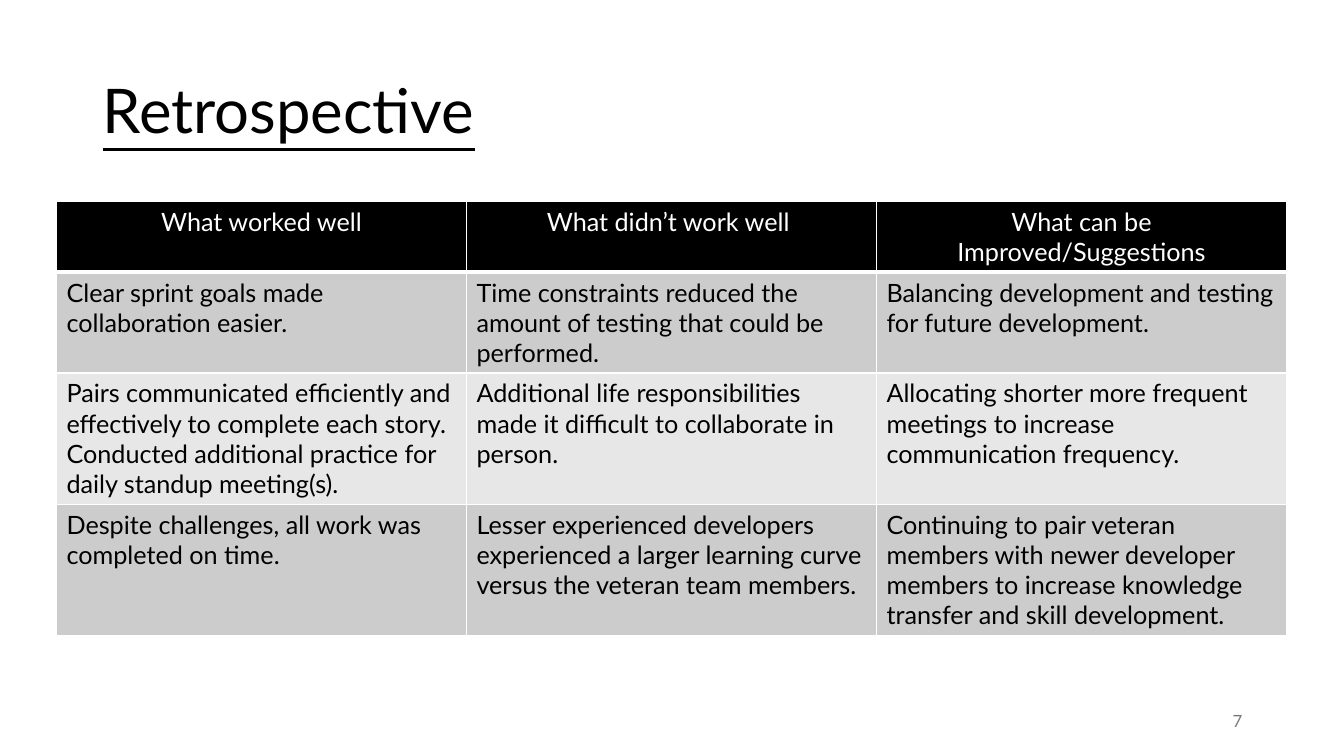
from dataclasses import dataclass

from lxml.etree import SubElement
from pptx import Presentation
from pptx.dml.color import RGBColor
from pptx.enum.text import MSO_ANCHOR, PP_ALIGN
from pptx.oxml.ns import qn
from pptx.util import Inches, Pt


@dataclass(frozen=True)
class Theme:
    font: str = "Lato"
    black: str = "000000"
    white: str = "FFFFFF"
    number_gray: str = "797979"
    bands: tuple = ("CCCCCC", "E7E7E7")
    title_size: int = 44
    table_size: int = 18
    number_size: int = 12
    border: int = 1
    header_border: int = 3


THEME = Theme()

HEADINGS = (
    "What worked well",
    "What didn’t work well ",
    "What can be Improved/Suggestions",
)
FINDINGS = (
    (
        "Clear sprint goals made collaboration easier.",
        "Time constraints reduced the amount of testing that could be performed.",
        "Balancing development and testing for future development.",
    ),
    (
        "Pairs communicated efficiently and effectively to complete each story. "
        "Conducted additional practice for daily standup meeting(s).",
        "Additional life responsibilities made it difficult to collaborate in person.",
        "Allocating shorter more frequent meetings to increase communication frequency.",
    ),
    (
        "Despite challenges, all work was completed on time.",
        "Lesser experienced developers experienced a larger learning curve "
        "versus the veteran team members.",
        "Continuing to pair veteran members with newer developer members "
        "to increase knowledge transfer and skill development.",
    ),
)
ROW_HEIGHTS = (0.69, 1, 1.3, 1.3)


def set_attributes(target, values):
    for name, value in values.items():
        setattr(target, name, value)


def write_text(text_frame, text, size, color, paragraph_format=None, underline=False):
    paragraph = text_frame.paragraphs[0]
    set_attributes(paragraph, paragraph_format or {})
    run = paragraph.add_run()
    run.text = text
    set_attributes(
        run.font, {"name": THEME.font, "size": Pt(size), "underline": underline}
    )
    run.font.color.rgb = RGBColor.from_string(color)


def add_text(slide, box, *text_arguments, **text_options):
    shape = slide.shapes.add_textbox(*map(Inches, box))
    set_attributes(
        shape.text_frame, {"word_wrap": True, "vertical_anchor": MSO_ANCHOR.MIDDLE}
    )
    write_text(shape.text_frame, *text_arguments, **text_options)


def add_borders(cell, widths):
    properties = cell._tc.get_or_add_tcPr()
    for position, (side, width) in enumerate(widths.items()):
        line = SubElement(properties, qn(f"a:{side}"), w=str(Pt(width)))
        properties.insert(position, line)
        fill = SubElement(line, qn("a:solidFill"))
        SubElement(fill, qn("a:srgbClr"), val=THEME.white)


def format_cell(cell, text, row):
    header = row == 0
    fill = THEME.black if header else THEME.bands[(row - 1) % 2]
    cell.fill.solid()
    cell.fill.fore_color.rgb = RGBColor.from_string(fill)
    write_text(
        cell.text_frame,
        text,
        THEME.table_size,
        THEME.white if header else THEME.black,
        {"alignment": PP_ALIGN.CENTER if header else PP_ALIGN.LEFT},
    )
    widths = dict.fromkeys(("lnL", "lnR", "lnT", "lnB"), THEME.border)
    if header:
        widths["lnB"] = THEME.header_border
    if row == 1:
        widths["lnT"] = THEME.header_border
    add_borders(cell, widths)


def add_retrospective_table(slide, box):
    contents = (HEADINGS, *FINDINGS)
    frame = slide.shapes.add_table(
        len(contents), len(HEADINGS), *map(Inches, box)
    )
    table = frame.table
    for row, (height, texts) in enumerate(zip(ROW_HEIGHTS, contents)):
        table.rows[row].height = Inches(height)
        for column, text in enumerate(texts):
            format_cell(table.cell(row, column), text, row)


def main():
    presentation = Presentation()
    set_attributes(
        presentation, {"slide_width": Inches(13.33), "slide_height": Inches(7.5)}
    )
    slide = presentation.slides.add_slide(presentation.slide_layouts[6])
    add_text(
        slide,
        (0.92, 0.4, 11.5, 1.45),
        "Retrospective",
        THEME.title_size,
        THEME.black,
        {"line_spacing": 0.9},
        underline=True,
    )
    add_retrospective_table(slide, (0.56, 2, 12.2, sum(ROW_HEIGHTS)))
    add_text(
        slide,
        (9.42, 6.95, 3, 0.4),
        "7",
        THEME.number_size,
        THEME.number_gray,
        {"alignment": PP_ALIGN.RIGHT},
    )
    presentation.save("out.pptx")


if __name__ == "__main__":
    main()
